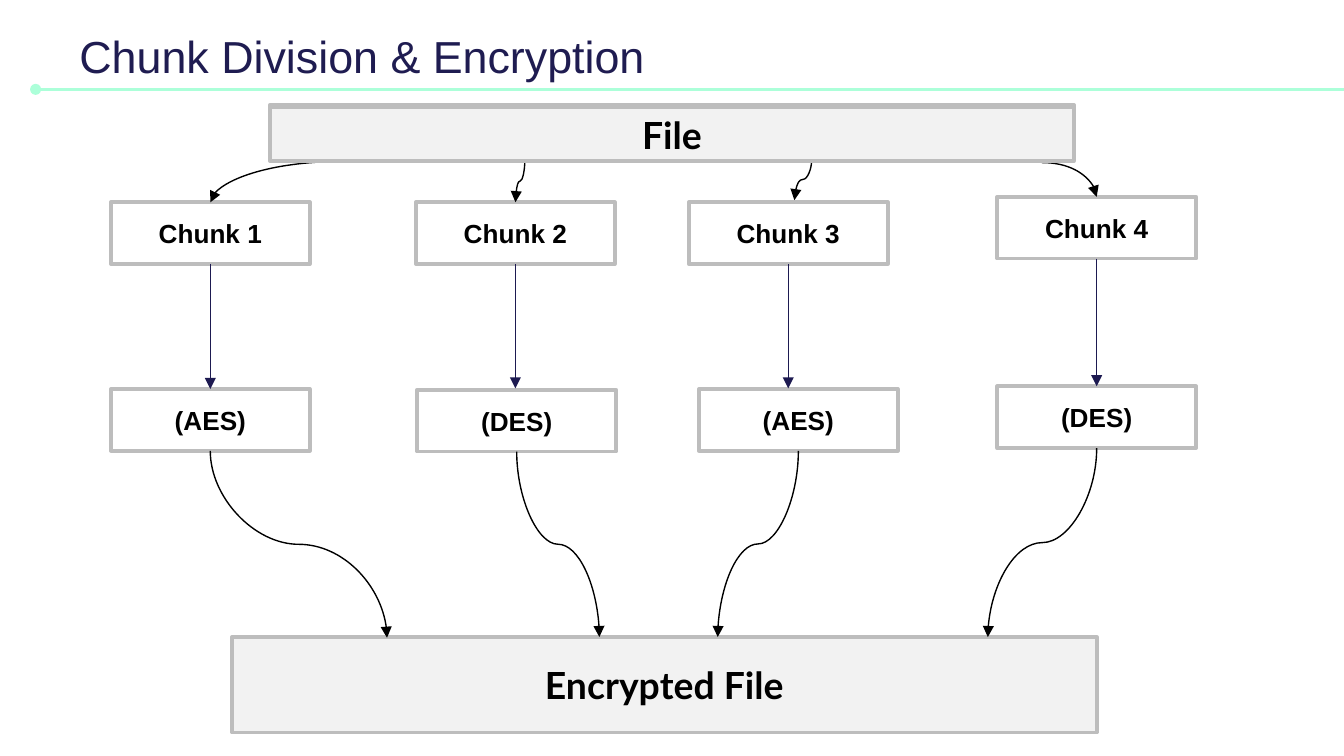
from dataclasses import dataclass

from lxml.etree import SubElement
from pptx import Presentation
from pptx.dml.color import RGBColor
from pptx.enum.shapes import MSO_CONNECTOR, MSO_SHAPE
from pptx.enum.text import MSO_ANCHOR, MSO_AUTO_SIZE, PP_ALIGN
from pptx.oxml.ns import qn
from pptx.shapes.autoshape import Shape
from pptx.shapes.connector import Connector
from pptx.slide import Slide
from pptx.text.text import TextFrame
from pptx.util import Emu, Pt

SCALE = 4572


@dataclass(frozen=True)
class Theme:
    title: str = "1F1C51"
    rule: str = "ACFFD9"
    edge: str = "BDBDBD"
    panel: str = "F2F2F2"
    arrow: str = "1D1A51"
    ink: str = "000000"
    sans: str = "Arial"
    bold: str = "Lato"
    head: int = 24
    large: int = 20
    small: int = 14
    frame: float = 2
    accent: float = 1.5
    thin: float = 0.75


@dataclass(frozen=True)
class Box:
    text: str
    left: int
    top: int
    width: int = 296
    height: int = 92
    panel: bool = False


@dataclass(frozen=True)
class Curve:
    start: tuple[int, int]
    end: tuple[int, int]
    bend: bool = False


THEME = Theme()
CHUNKS = [
    Box("Chunk 1", 165, 301),
    Box("Chunk 2", 619, 301),
    Box("Chunk 3", 1025, 301),
    Box("Chunk 4", 1484, 293),
]
CODES = [
    Box("(AES)", 165, 579),
    Box("(DES)", 621, 580),
    Box("(AES)", 1040, 579),
    Box("(DES)", 1484, 575),
]
BACK = Box("", 402, 156, 1196, 80, True)
FILE = Box("File", 402, 160, 1196, 80, True)
RESULT = Box("Encrypted File", 345, 948, 1287, 142, True)
CURVES = [
    Curve((512, 240), (313, 301), True),
    Curve((781, 238), (767, 301)),
    Curve((1208, 236), (1182, 298)),
    Curve((1550, 242), (1632, 293), True),
    Curve((313, 671), (576, 949)),
    Curve((769, 672), (892, 948)),
    Curve((1188, 671), (1068, 948)),
    Curve((1632, 667), (1470, 948)),
]


def px(count: int) -> Emu:
    return Emu(count * SCALE)


def color(code: str) -> RGBColor:
    return RGBColor.from_string(code)


def write(frame: TextFrame, text: str, font: str, size: int, code: str,
          bold: bool, align: PP_ALIGN) -> None:
    line = frame.paragraphs[0]
    line.alignment = align
    run = line.add_run()
    run.text = text
    run.font.name = font
    run.font.size = Pt(size)
    run.font.bold = bold
    run.font.color.rgb = color(code)


def draw_title(slide: Slide, text: str) -> None:
    title = slide.shapes.title
    title.left, title.top = px(98), px(24)
    title.width, title.height = px(1522), px(118)
    frame = title.text_frame
    frame.word_wrap = True
    frame.auto_size = MSO_AUTO_SIZE.NONE
    frame.vertical_anchor = MSO_ANCHOR.BOTTOM
    frame.margin_left = frame.margin_right = px(20)
    frame.margin_top = frame.margin_bottom = px(20)
    write(frame, text, THEME.sans, THEME.head, THEME.title, False, PP_ALIGN.LEFT)


def draw_box(slide: Slide, box: Box) -> Shape:
    shape = slide.shapes.add_shape(
        MSO_SHAPE.RECTANGLE, px(box.left), px(box.top), px(box.width), px(box.height))
    shape.shadow.inherit = False
    if box.panel:
        shape.fill.solid()
        shape.fill.fore_color.rgb = color(THEME.panel)
    else:
        shape.fill.background()
    shape.line.color.rgb = color(THEME.edge)
    shape.line.width = Pt(THEME.frame)
    if box.text:
        frame = shape.text_frame
        frame.word_wrap = True
        frame.vertical_anchor = MSO_ANCHOR.MIDDLE
        font, size = ((THEME.bold, THEME.large) if box.panel
                      else (THEME.sans, THEME.small))
        write(frame, box.text, font, size, THEME.ink, True, PP_ALIGN.CENTER)
    return shape


def draw_line(slide: Slide, kind: MSO_CONNECTOR, start: tuple[int, int],
              end: tuple[int, int], code: str, width: float,
              tip: str, mark: str) -> Connector:
    line = slide.shapes.add_connector(
        kind, px(start[0]), px(start[1]), px(end[0]), px(end[1]))
    line.line.color.rgb = color(code)
    line.line.width = Pt(width)
    props = line.element.spPr
    SubElement(props.find(qn("a:ln")), qn(tip), type=mark)
    SubElement(props, qn("a:effectLst"))
    return line


def draw_curve(slide: Slide, curve: Curve) -> None:
    line = draw_line(slide, MSO_CONNECTOR.CURVE, curve.start, curve.end,
                     THEME.ink, THEME.thin, "a:tailEnd", "triangle")
    (x1, y1), (x2, y2) = curve.start, curve.end
    props = line.element.spPr
    form = props.find(qn("a:xfrm"))
    form.attrib.pop("flipH", None)
    if curve.bend:
        props.find(qn("a:prstGeom")).set("prst", "curvedConnector2")
        if x2 < x1:
            form.set("rot", "10800000")
            form.set("flipV", "1")
        return
    wide, high = y2 - y1, abs(x2 - x1)
    line.left = Emu(px(x1 + x2 - wide) // 2)
    line.top = Emu(px(y1 + y2 - high) // 2)
    line.width, line.height = px(wide), px(high)
    if x2 > x1:
        form.set("rot", "16200000")
        form.set("flipH", "1")
    else:
        form.set("rot", "5400000")


def draw_link(slide: Slide, chunk: Box, first: Shape, code: Box, last: Shape) -> None:
    mid = chunk.left + chunk.width // 2
    base = chunk.top + chunk.height
    line = draw_line(slide, MSO_CONNECTOR.STRAIGHT, (mid, base), (mid, base + 185),
                     THEME.arrow, THEME.thin, "a:tailEnd", "triangle")
    line.begin_connect(first, 2)
    if chunk.left == code.left:
        line.end_connect(last, 0)


def main() -> None:
    deck = Presentation()
    deck.slide_width, deck.slide_height = px(2000), px(1125)
    slide = deck.slides.add_slide(deck.slide_layouts[5])
    draw_line(slide, MSO_CONNECTOR.STRAIGHT, (53, 133), (2020, 133),
              THEME.rule, THEME.accent, "a:headEnd", "oval")
    draw_title(slide, "Chunk Division & Encryption")
    draw_box(slide, BACK)
    for chunk, code in zip(CHUNKS, CODES):
        draw_link(slide, chunk, draw_box(slide, chunk), code, draw_box(slide, code))
    draw_box(slide, RESULT)
    for curve in CURVES:
        draw_curve(slide, curve)
    draw_box(slide, FILE)
    deck.save("out.pptx")


if __name__ == "__main__":
    main()
